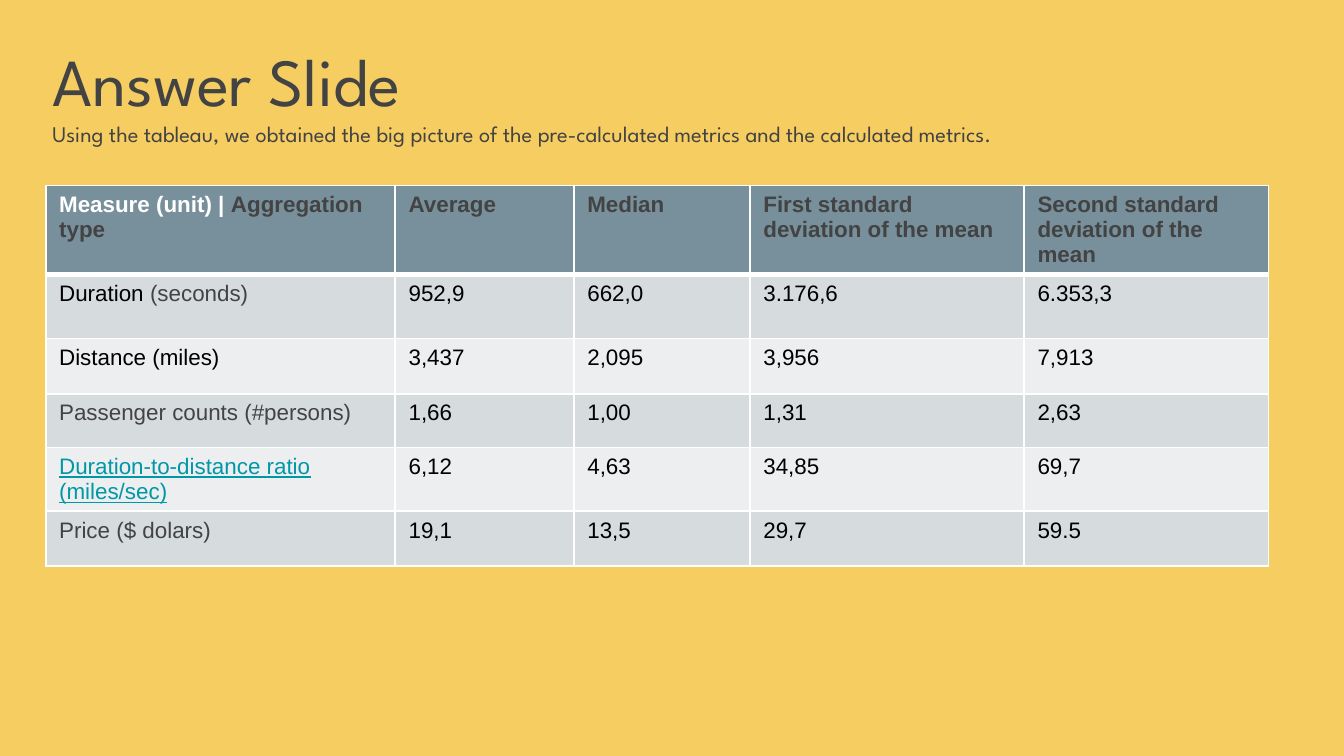
from lxml import etree
from pptx import Presentation
from pptx.dml.color import RGBColor
from pptx.enum.text import MSO_ANCHOR, MSO_AUTO_SIZE, PP_ALIGN
from pptx.oxml.ns import qn
from pptx.util import Inches, Pt

YELLOW = RGBColor(0xF6, 0xCD, 0x61)
GRAY = RGBColor(0x43, 0x43, 0x43)
BLACK = RGBColor(0, 0, 0)
WHITE = RGBColor(0xFF, 0xFF, 0xFF)
TEAL = RGBColor(0x00, 0x97, 0xA7)
HEADER_FILL = RGBColor(0x78, 0x90, 0x9C)
BAND_FILLS = [RGBColor(0xEC, 0xEE, 0xEF), RGBColor(0xD6, 0xDB, 0xDE)]

HEADINGS = ["Average", "Median", "First standard deviation of the mean",
            "Second standard deviation of the mean"]
# Each label is a list of (text, colour) runs.
ROWS = [
    ([("Measure (unit) | ", WHITE), ("Aggregation type", GRAY)], HEADINGS),
    ([("Duration ", BLACK), ("(seconds)", GRAY)], ["952,9", "662,0", "3.176,6", "6.353,3"]),
    ([("Distance (miles)", BLACK)], ["3,437", "2,095", "3,956", "7,913"]),
    ([("Passenger counts (#persons)", GRAY)], ["1,66", "1,00", "1,31", "2,63"]),
    ([("Duration-to-distance ratio (miles/sec)", TEAL)], ["6,12", "4,63", "34,85", "69,7"]),
    ([("Price ($ dolars)", GRAY)], ["19,1", "13,5", "29,7", "59.5"]),
]
COLUMN_WIDTHS = [2.6, 1.33, 1.31, 2.04, 1.82]
ROW_HEIGHTS = [0.65, 0.48, 0.41, 0.4, 0.47, 0.41]


def set_borders(cell, top, bottom):
    """Draw white cell borders; top and bottom are widths in points."""
    props = cell._tc.get_or_add_tcPr()
    for position, (side, width) in enumerate(
            [("lnL", 1), ("lnR", 1), ("lnT", top), ("lnB", bottom)]):
        line = etree.Element(qn(f"a:{side}"), w=str(Pt(width)))
        fill = etree.SubElement(line, qn("a:solidFill"))
        etree.SubElement(fill, qn("a:srgbClr"), val=str(WHITE))
        props.insert(position, line)


deck = Presentation()
deck.slide_width = Inches(10)
deck.slide_height = Inches(10) * 9 // 16
page = deck.slides.add_slide(deck.slide_layouts[5])
page.background.fill.solid()
page.background.fill.fore_color.rgb = YELLOW

title = page.shapes.title
title.left, title.top = Inches(0.29), Inches(0.19)
title.width, title.height = Inches(9.32), Inches(0.7)
frame = title.text_frame
frame.text = ("Answer Slide\nUsing the tableau, we obtained the big picture of the "
              "pre-calculated metrics and the calculated metrics.")
frame.word_wrap = True
frame.auto_size = MSO_AUTO_SIZE.NONE
frame.vertical_anchor = MSO_ANCHOR.TOP
frame.margin_left = frame.margin_right = Inches(0.1)
frame.margin_top = frame.margin_bottom = Inches(0.1)
for para, size in zip(frame.paragraphs, [36, 12]):
    para.alignment = PP_ALIGN.LEFT
    para.space_before = Pt(0)
    para.font.name = "League Spartan"
    para.font.size = Pt(size)
    para.font.color.rgb = GRAY

table = page.shapes.add_table(
    len(ROWS), len(COLUMN_WIDTHS), Inches(0.34), Inches(1.38),
    Inches(sum(COLUMN_WIDTHS)), Inches(sum(ROW_HEIGHTS))).table
for column, width in zip(table.columns, COLUMN_WIDTHS):
    column.width = Inches(width)
for row, height in zip(table.rows, ROW_HEIGHTS):
    row.height = Inches(height)

for r, (label, values) in enumerate(ROWS):
    is_header = r == 0
    value_color = GRAY if is_header else BLACK
    for c, spans in enumerate([label] + [[(value, value_color)] for value in values]):
        cell = table.cell(r, c)
        cell.fill.solid()
        cell.fill.fore_color.rgb = HEADER_FILL if is_header else BAND_FILLS[r % 2]
        set_borders(cell, top=3 if r == 1 else 1, bottom=3 if is_header else 1)
        para = cell.text_frame.paragraphs[0]
        para.font.name = "Arial"
        para.font.size = Pt(12)
        para.font.bold = is_header
        for text, color in spans:
            span = para.add_run()
            span.text = text
            span.font.color.rgb = color
            if color == TEAL:
                span.font.underline = True

deck.save("out.pptx")
